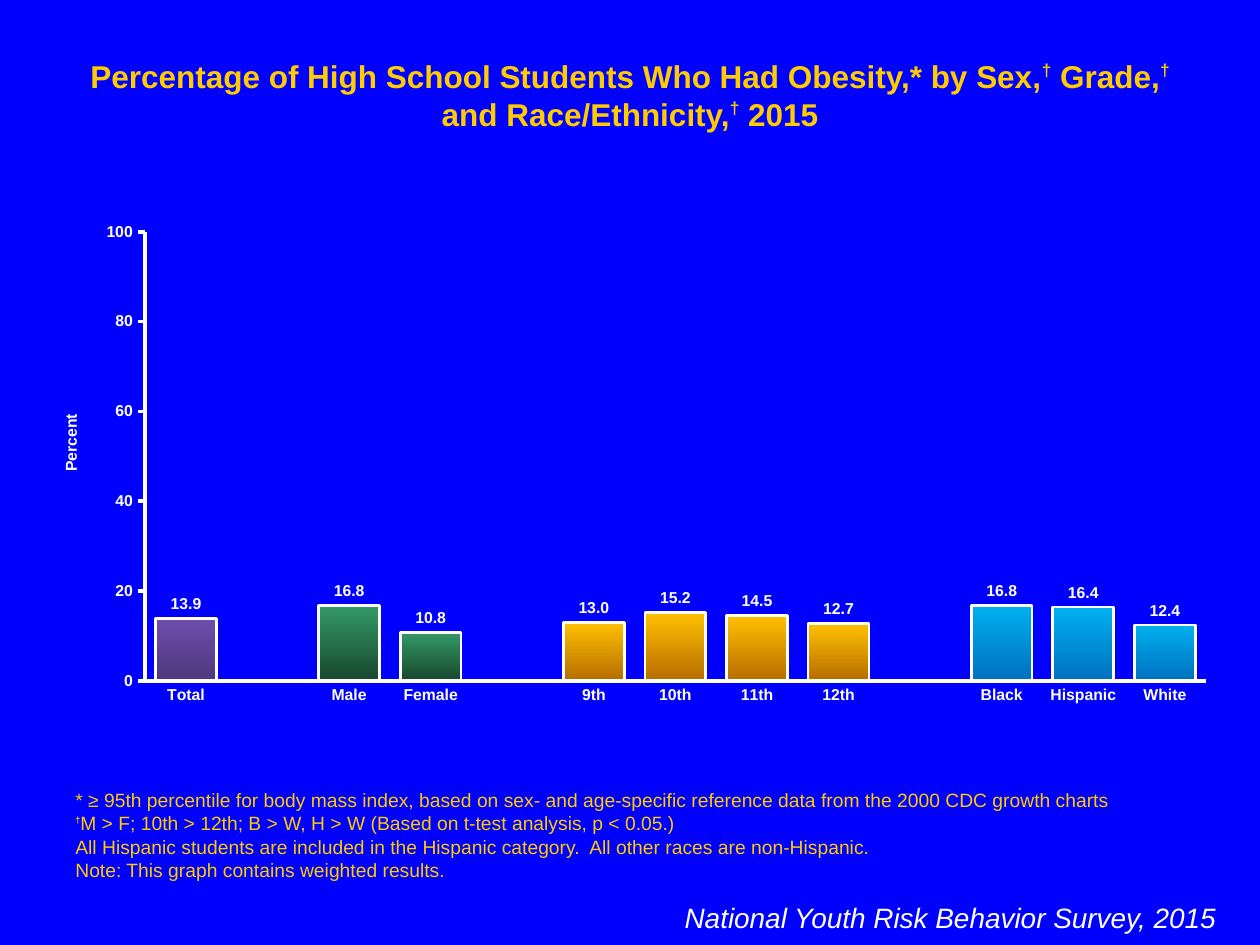
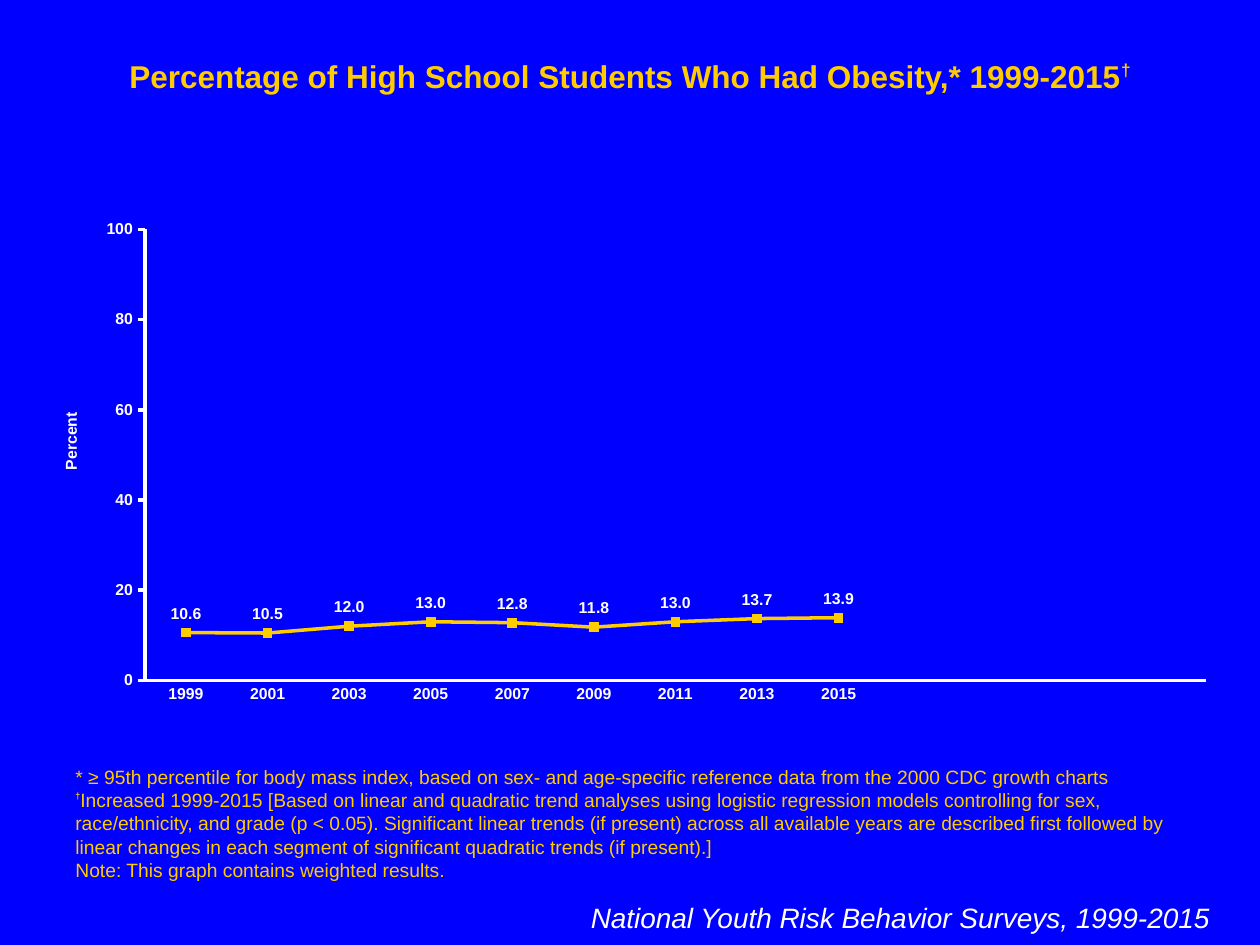
import pptx
import pptx.chart.data
import pptx.dml.color
import pptx.enum.chart
import pptx.enum.text
import pptx.oxml
import pptx.oxml.ns
import pptx.util
from pptx.util import Pt

RGBColor = pptx.dml.color.RGBColor
ChartType = pptx.enum.chart.XL_CHART_TYPE
LabelPosition = pptx.enum.chart.XL_LABEL_POSITION
TickMark = pptx.enum.chart.XL_TICK_MARK
Anchor = pptx.enum.text.MSO_ANCHOR
Align = pptx.enum.text.PP_ALIGN

BLUE = RGBColor(0x00, 0x00, 0xFF)
GOLD = RGBColor(0xFF, 0xCC, 0x00)
WHITE = RGBColor(0xFF, 0xFF, 0xFF)
PURPLE_BAR = (RGBColor(0x6E, 0x4E, 0xAE), RGBColor(0x4F, 0x38, 0x7C))
GREEN_BAR = (RGBColor(0x33, 0x99, 0x66), RGBColor(0x18, 0x47, 0x2F))
AMBER_BAR = (RGBColor(0xFF, 0xC0, 0x00), RGBColor(0xB6, 0x6D, 0x00))
SKY_BAR = (RGBColor(0x00, 0xB0, 0xF0), RGBColor(0x00, 0x70, 0xC0))

FONT = "Arial"
DAGGER = "†"
TITLE_ONLY = 5

BAR_GROUPS = [
    (PURPLE_BAR, [("Total", 13.9)]),
    (GREEN_BAR, [("Male", 16.8), ("Female", 10.8)]),
    (AMBER_BAR, [("9th", 13.0), ("10th", 15.2), ("11th", 14.5), ("12th", 12.7)]),
    (SKY_BAR, [("Black", 16.8), ("Hispanic", 16.4), ("White", 12.4)]),
]
YEARS = [str(year) for year in range(1999, 2016, 2)]
TREND = [10.6, 10.5, 12.0, 13.0, 12.8, 11.8, 13.0, 13.7, 13.9]
EMPTY_YEARS = 4

OBESITY_NOTE = ("* ≥ 95th percentile for body mass index, based on sex- and "
                "age-specific reference data from the 2000 CDC growth charts")
WEIGHT_NOTE = "Note: This graph contains weighted results."


def set_layout(parent, index, **fractions):
    """Place a chart part by fractions of the chart's size."""
    qn = pptx.oxml.ns.qn
    for old in parent.findall(qn("c:layout")):
        parent.remove(old)
    settings = {"xMode": "edge", "yMode": "edge", **fractions}
    if "w" in fractions:
        settings = {"layoutTarget": "inner", **settings}
    values = "".join(f'<c:{key} val="{value}"/>' for key, value in settings.items())
    parent.insert(index, pptx.oxml.parse_xml(
        f'<c:layout {pptx.oxml.ns.nsdecls("c")}>'
        f"<c:manualLayout>{values}</c:manualLayout></c:layout>"))


class SurveyDeck:
    def __init__(self):
        self.deck = pptx.Presentation()
        self.deck.slide_width, self.deck.slide_height = Pt(720), Pt(540)
        fill = self.deck.slide_master.background.fill
        fill.solid()
        fill.fore_color.rgb = BLUE
        self.page = None

    def add_page(self):
        self.page = self.deck.slides.add_slide(self.deck.slide_layouts[TITLE_ONLY])

    def style(self, font, size, color=WHITE, bold=False, italic=False):
        font.name, font.size = FONT, Pt(size)
        font.bold, font.italic = bold, italic
        font.color.rgb = color

    def add_spans(self, para, text, size, dagger_size, raise_by, **look):
        """Add text to a paragraph, with each dagger as a superscript span."""
        for index, part in enumerate(text.split(DAGGER)):
            if index:
                span = para.add_run()
                span.text = DAGGER
                self.style(span.font, dagger_size, **{**look, "bold": True})
                span._r.get_or_add_rPr().set("baseline", str(raise_by * 1000))
            if part:
                span = para.add_run()
                span.text = part
                self.style(span.font, size, **look)

    def prepare(self, box, anchor=Anchor.TOP):
        frame = box.text_frame
        frame.word_wrap = True
        frame.auto_size = pptx.enum.text.MSO_AUTO_SIZE.SHAPE_TO_FIT_TEXT
        frame.vertical_anchor = anchor
        return frame

    def title(self, text, height):
        box = self.page.shapes.title
        box.left, box.top, box.width, box.height = Pt(36), Pt(28.8), Pt(648), Pt(height)
        para = self.prepare(box).paragraphs[0]
        para.alignment = Align.CENTER
        self.add_spans(para, text, 18, 17, 40, color=GOLD, bold=True)

    def notes(self, lines):
        box = self.page.shapes.add_textbox(Pt(36), Pt(486), Pt(648), Pt(21))
        frame = self.prepare(box, Anchor.BOTTOM)
        for index, line in enumerate(lines):
            para = frame.add_paragraph() if index else frame.paragraphs[0]
            self.add_spans(para, line, 11, 9, 50, color=GOLD)

    def source(self, text, left, width):
        box = self.page.shapes.add_textbox(Pt(left), Pt(511.2), Pt(width), Pt(26.6))
        para = self.prepare(box).paragraphs[0]
        para.text = text
        para.alignment = Align.RIGHT
        self.style(para.runs[0].font, 16, italic=True)

    def chart(self, kind, top, height, names, values, label_position):
        data = pptx.chart.data.CategoryChartData(number_format="#,##0.0")
        data.categories = names
        data.add_series("Series 1", values)
        chart = self.page.shapes.add_chart(
            kind, Pt(18), Pt(top), Pt(684), Pt(height), data).chart
        chart.has_title = chart.has_legend = False
        self.style(chart.font, 18)
        for axis in (chart.category_axis, chart.value_axis):
            axis.has_major_gridlines = False
            axis.major_tick_mark = axis.minor_tick_mark = TickMark.NONE
            axis.format.line.color.rgb = WHITE
            axis.format.line.width = Pt(2)
            self.style(axis.tick_labels.font, 9, bold=True)
        self.percent_axis(chart.value_axis)
        set_layout(chart.element.chart.plotArea, 0, x=0.095, y=0.038, w=0.886, h=0.895)

        plot = chart.plots[0]
        plot.vary_by_categories = False
        plot.has_data_labels = True
        labels = plot.data_labels
        labels.show_value = True
        labels.position = label_position
        labels.number_format, labels.number_format_is_linked = "#,##0.0", False
        self.style(labels.font, 9, bold=True)
        return plot

    def percent_axis(self, axis):
        axis.minimum_scale, axis.maximum_scale, axis.major_unit = 0, 100, 20
        axis.major_tick_mark = TickMark.OUTSIDE
        axis.tick_labels.number_format = "#,##0"
        axis.tick_labels.number_format_is_linked = False
        para = axis.axis_title.text_frame.paragraphs[0]
        para.text = "Percent"
        self.style(para.runs[0].font, 9, bold=True)
        title = axis.axis_title.element
        body = title.find(".//" + pptx.oxml.ns.qn("a:bodyPr"))
        body.set("rot", "-5400000")
        body.set("vert", "horz")
        set_layout(title, 1, x=0.022, y=0.395)

    def bar_chart(self, groups):
        """Draw one gradient per group, with an empty slot between groups."""
        bars = []
        for colors, members in groups:
            if bars:
                bars.append(("", None, None))
            bars += [(name, value, colors) for name, value in members]
        names, values, gradients = zip(*bars)
        plot = self.chart(ChartType.COLUMN_CLUSTERED, 121.7, 286.6, names, values,
                          LabelPosition.OUTSIDE_END)
        plot.gap_width, plot.overlap = 34, 100
        for index, colors in enumerate(gradients):
            if colors is None:
                continue
            look = plot.series[0].points[index].format
            look.fill.gradient()
            look.fill.gradient_angle = 270
            for stop, color in zip(look.fill.gradient_stops, colors):
                stop.color.rgb = color
            look.line.color.rgb = WHITE
            look.line.width = Pt(1.5)

    def trend_chart(self, names, values):
        plot = self.chart(ChartType.LINE_MARKERS, 120.2, 288, names, values,
                          LabelPosition.ABOVE)
        series = plot.series[0]
        series.smooth = False
        series.format.line.color.rgb = GOLD
        series.format.line.width = Pt(2)
        series.marker.style = pptx.enum.chart.XL_MARKER_STYLE.SQUARE
        series.marker.size = 5
        series.marker.format.fill.solid()
        series.marker.format.fill.fore_color.rgb = GOLD
        series.marker.format.line.color.rgb = GOLD


def main():
    survey = SurveyDeck()

    survey.add_page()
    survey.title("Percentage of High School Students Who Had Obesity,* by Sex,† Grade,† "
                 "and Race/Ethnicity,† 2015", 51)
    survey.notes([
        OBESITY_NOTE,
        "†M > F; 10th > 12th; B > W, H > W (Based on t-test analysis, p < 0.05.)",
        "All Hispanic students are included in the Hispanic category.  "
        "All other races are non-Hispanic.",
        WEIGHT_NOTE,
    ])
    survey.source("National Youth Risk Behavior Survey, 2015", 306, 396)
    survey.bar_chart(BAR_GROUPS)

    survey.add_page()
    survey.title("Percentage of High School Students Who Had Obesity,* 1999-2015†", 29)
    survey.notes([
        OBESITY_NOTE,
        "†Increased 1999-2015 [Based on linear and quadratic trend analyses using logistic "
        "regression models controlling for sex, race/ethnicity, and grade (p < 0.05). "
        "Significant linear trends (if present) across all available years are described "
        "first followed by linear changes in each segment of significant quadratic trends "
        "(if present).]",
        WEIGHT_NOTE,
    ])
    survey.source("National Youth Risk Behavior Surveys, 1999-2015", 326.2, 372.2)
    survey.trend_chart(YEARS + [""] * EMPTY_YEARS, TREND + [None] * EMPTY_YEARS)

    survey.deck.save("out.pptx")


if __name__ == "__main__":
    main()
